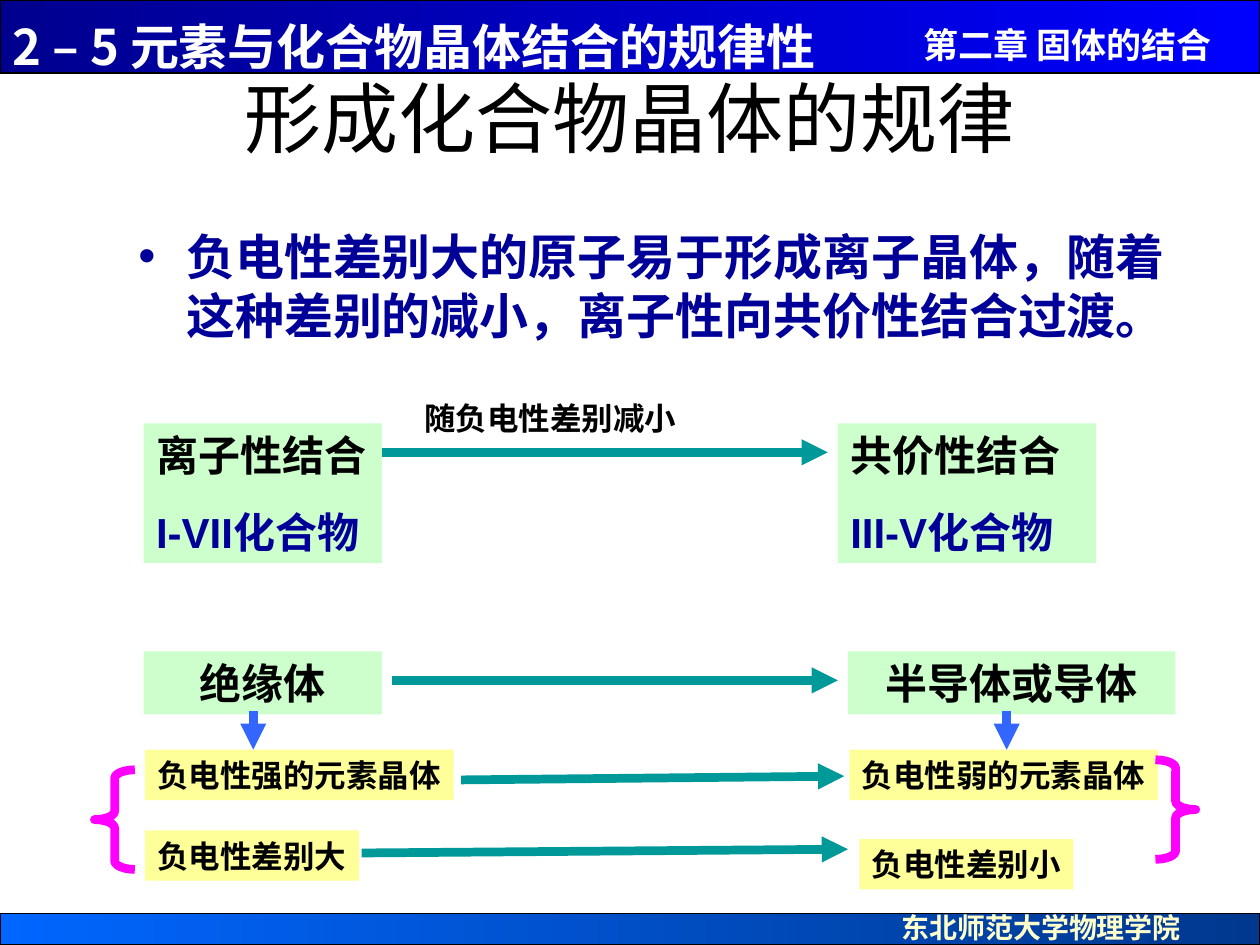
from lxml import etree
from pptx import Presentation
from pptx import util as u
from pptx.dml.color import RGBColor
from pptx.enum import shapes, text
from pptx.oxml import ns

BLACK = RGBColor(0x00, 0x00, 0x00)
WHITE = RGBColor(0xFF, 0xFF, 0xFF)
CREAM = RGBColor(0xFF, 0xFF, 0xCC)
NAVY = RGBColor(0x00, 0x00, 0x99)
GREEN = RGBColor(0xCC, 0xFF, 0xCC)
YELLOW = RGBColor(0xFF, 0xFF, 0x99)
TEAL = RGBColor(0x00, 0x99, 0x99)
BLUE = RGBColor(0x33, 0x66, 0xFF)
MAGENTA = RGBColor(0xFF, 0x00, 0xFF)
HEADER_STOPS = RGBColor(0x00, 0x00, 0xFF), RGBColor(0x00, 0x00, 0x8E)
FOOTER_STOPS = RGBColor(0x00, 0x38, 0x8E), RGBColor(0x00, 0x66, 0xFF)
CJK = "Noto Sans CJK SC"
CENTER = text.PP_ALIGN.CENTER
COLUMNS, ROWS = 100, 75


def add_xml(parent, tag, **attributes):
    return etree.SubElement(parent, ns.qn(tag), **attributes)


def write(para, words, size=18, color=BLACK, bold=True, font="Arial",
          align=text.PP_ALIGN.LEFT, before=0, pitch=1.2):
    """Fill a paragraph with one formatted run."""
    para.alignment = align
    para.space_before = u.Pt(before)
    if pitch:
        para.line_spacing = u.Pt(round(size * pitch, 1))
    span = para.add_run()
    span.text = words
    span.font.size = u.Pt(size)
    span.font.bold = bold
    span.font.color.rgb = color
    span.font.name = font
    add_xml(span.font._element, "a:ea", typeface=CJK)


class SlideBuilder:
    """Places elements on a grid of 100 columns by 75 rows."""

    stroke = u.Pt(5)

    def __init__(self, deck):
        self.column = deck.slide_width / COLUMNS
        self.row = deck.slide_height / ROWS
        self.page = deck.slides.add_slide(deck.slide_layouts[5])

    def at(self, left, top, width, height):
        return [round(n * unit) for n, unit in
                zip((left, top, width, height), (self.column, self.row) * 2)]

    def title(self, place, words):
        box = self.page.shapes.title
        box.left, box.top, box.width, box.height = self.at(*place)
        box.text_frame.vertical_anchor = text.MSO_ANCHOR.MIDDLE
        write(box.text_frame.paragraphs[0], words, size=44, bold=False,
              align=CENTER, pitch=None)

    def shape(self, kind, place):
        item = self.page.shapes.add_shape(kind, *self.at(*place))
        item.shadow.inherit = False
        return item

    def band(self, place, stops):
        bar = self.shape(shapes.MSO_SHAPE.RECTANGLE, place)
        bar.fill.gradient()
        bar.fill.gradient_angle = 180
        for stop, color in zip(bar.fill.gradient_stops, stops):
            stop.color.rgb = color
        bar.line.color.rgb = BLACK
        bar.line.width = u.Pt(0.75)

    def label(self, place, words, **style):
        box = self.page.shapes.add_textbox(*self.at(*place))
        box.text_frame.word_wrap = True
        write(box.text_frame.paragraphs[0], words, **style)
        return box

    def bullet(self, place, words, **style):
        box = self.label(place, words, **style)
        props = box.text_frame.paragraphs[0]._p.get_or_add_pPr()
        indent = u.Inches(0.38)
        props.set("marL", str(indent))
        props.set("indent", str(-indent))
        add_xml(props, "a:buFont", typeface="Arial")
        add_xml(props, "a:buChar", char="•")

    def card(self, place, fill, *lines, size=24, align=text.PP_ALIGN.LEFT):
        box = self.shape(shapes.MSO_SHAPE.RECTANGLE, place)
        box.fill.solid()
        box.fill.fore_color.rgb = fill
        box.line.fill.background()
        frame = box.text_frame
        frame.word_wrap = True
        frame.vertical_anchor = text.MSO_ANCHOR.TOP
        if align != CENTER:
            frame.margin_right = 0
        for index, (words, color) in enumerate(lines):
            para = frame.add_paragraph() if index else frame.paragraphs[0]
            write(para, words, size=size, color=color, align=align,
                  before=15 if index else 0)

    def arrow(self, start, end, color=TEAL):
        line = self.page.shapes.add_connector(
            shapes.MSO_CONNECTOR.STRAIGHT, *self.at(*start, *end))
        line.line.color.rgb = color
        line.line.width = self.stroke
        add_xml(line.line._get_or_add_ln(), "a:tailEnd", type="triangle")
        add_xml(line._element.spPr, "a:effectLst")

    def brace(self, kind, left, top):
        mark = self.shape(kind, (left, top, 3.2, 7.9))
        mark.adjustments[0] = 0.21
        mark.fill.background()
        mark.line.color.rgb = MAGENTA
        mark.line.width = self.stroke


def main():
    deck = Presentation()
    deck.slide_width, deck.slide_height = u.Inches(10), u.Inches(7.5)
    slide = SlideBuilder(deck)

    # Header and footer bands
    slide.band((0, 0, 100, 5.8), HEADER_STOPS)
    slide.band((0, 72.5, 100, 2.5), FOOTER_STOPS)
    slide.label((72.3, 1.4, 28.3, 4.4), "第二章 固体的结合",
                size=20, color=WHITE, font=CJK)
    slide.label((0, 0.8, 81.7, 5.7), "2 – 5 元素与化合物晶体结合的规律性",
                size=28, color=WHITE, font=CJK)
    slide.label((61.6, 71.8, 42.1, 3.7), "东北师范大学物理学院",
                size=16, color=CREAM, font="Times New Roman", align=CENTER)

    # Title and main statement
    slide.title((5, 3, 90, 12.5), "形成化合物晶体的规律")
    slide.bullet((10, 17.5, 85.7, 13.7),
                 "负电性差别大的原子易于形成离子晶体，随着这种差别的减小，"
                 "离子性向共价性结合过渡。", size=28, color=NAVY, font=CJK)

    # Bonding types and conductivity
    slide.card((11.4, 33.6, 18.9, 11.1), GREEN,
               ("离子性结合", BLACK), ("I-VII化合物", NAVY))
    slide.card((66.5, 33.6, 20.5, 11.1), GREEN,
               ("共价性结合", BLACK), ("III-V化合物", NAVY))
    slide.label((32.7, 31.2, 32.3, 4), "随负电性差别减小")
    for left, width, words in ((11.4, 18.9, "绝缘体"),
                               (67.3, 26, "半导体或导体")):
        slide.card((left, 51.7, width, 5), GREEN, (words, BLACK), align=CENTER)

    # Electronegativity notes
    for left, top, width, words in ((11.5, 59.5, 24.5, "负电性强的元素晶体"),
                                    (67.4, 59.5, 24.5, "负电性弱的元素晶体"),
                                    (11.5, 65.9, 17, "负电性差别大"),
                                    (68.2, 66.6, 17, "负电性差别小")):
        slide.card((left, top, width, 4), YELLOW, (words, BLACK), size=18)

    # Arrows across and down
    for start, end in (((30.3, 35.9), (65.7, 35.9)),
                       ((31.1, 54), (66.5, 54)),
                       ((36.6, 61.9), (67, 61.6)),
                       ((28.7, 67.7), (67.3, 67.4))):
        slide.arrow(start, end)
    for column in (20.1, 79.9):
        slide.arrow((column, 56.4), (column, 59.5), BLUE)

    # Braces around the notes
    slide.brace(shapes.MSO_SHAPE.LEFT_BRACE, 7.5, 61.1)
    slide.brace(shapes.MSO_SHAPE.RIGHT_BRACE, 91.7, 60.3)

    deck.save("out.pptx")


if __name__ == "__main__":
    main()
